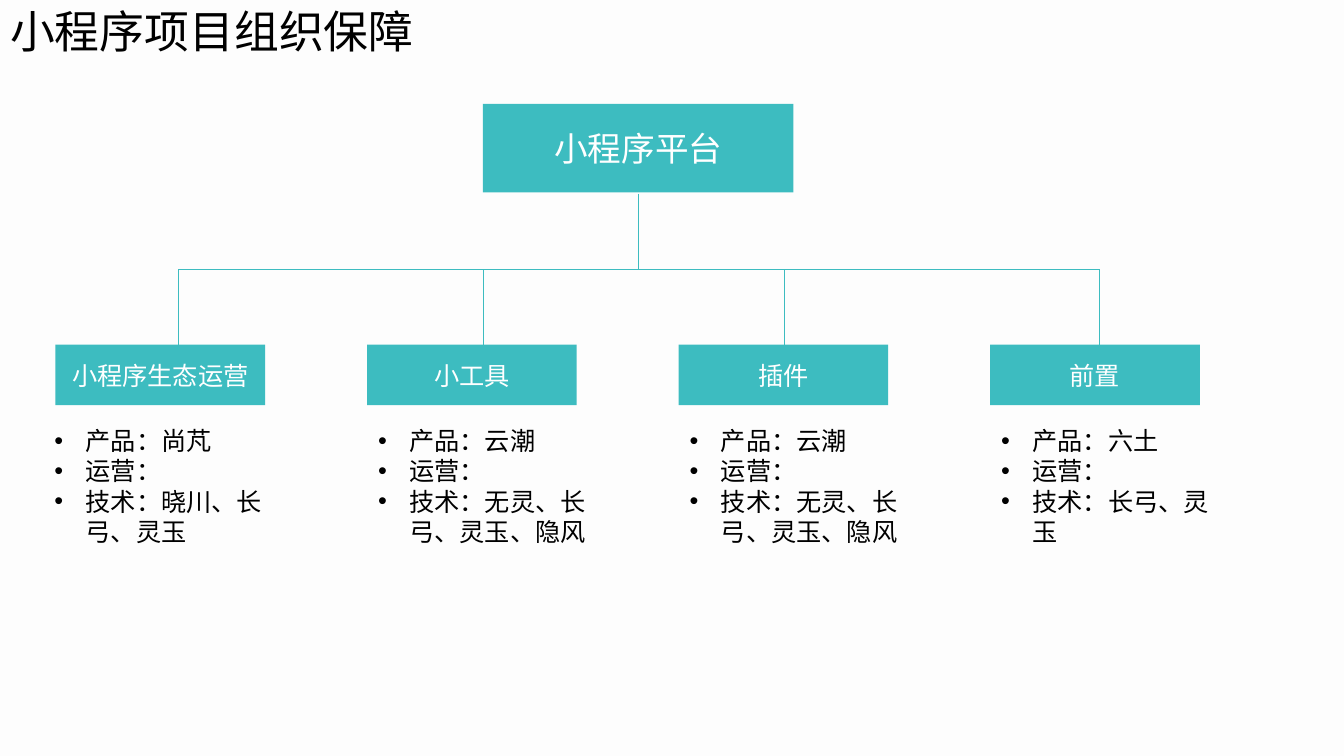
from lxml.etree import SubElement
from pptx import Presentation
from pptx.dml.color import RGBColor
from pptx.enum.shapes import MSO_CONNECTOR, MSO_SHAPE
from pptx.enum.text import MSO_ANCHOR, MSO_AUTO_SIZE, PP_ALIGN
from pptx.oxml.ns import qn
from pptx.util import Inches, Pt

FACE = "Noto Sans CJK SC"
TEAL = "3DBCC0"
TEAMS = [
    ("小程序生态运营", 0.44, ["产品：尚芃", "运营：", "技术：晓川、长弓、灵玉"]),
    ("小工具", 3.65, ["产品：云潮", "运营：", "技术：无灵、长弓、灵玉、隐风"]),
    ("插件", 6.74, ["产品：云潮", "运营：", "技术：无灵、长弓、灵玉、隐风"]),
    ("前置", 9.83, ["产品：六土", "运营：", "技术：长弓、灵玉"]),
]
DROPS = [1.77, 4.79, 7.78, 10.9]


def paint(fill, shade):
    fill.solid()
    fill.fore_color.rgb = RGBColor.from_string(shade)


def style(para, size, shade, align):
    para.alignment = align
    font = para.font
    font.size = Pt(size)
    font.bold = False
    paint(font.fill, shade)
    font.name = FACE
    props = para._p.get_or_add_pPr().get_or_add_defRPr()
    SubElement(props, qn("a:ea"), typeface=FACE)


def place(shape, left, top, width, height):
    shape.left, shape.top = Inches(left), Inches(top)
    shape.width, shape.height = Inches(width), Inches(height)


def head(slide, left, top, width, height):
    title = slide.shapes.title
    place(title, left, top, width, height)
    frame = title.text_frame
    frame.text = "小程序项目组织保障"
    frame.vertical_anchor = MSO_ANCHOR.MIDDLE
    frame.auto_size = MSO_AUTO_SIZE.NONE
    para = frame.paragraphs[0]
    para.line_spacing = 0.9
    style(para, 32, "000000", PP_ALIGN.LEFT)


def block(slide, text, size, left, top, width, height):
    box = slide.shapes.add_shape(
        MSO_SHAPE.RECTANGLE,
        Inches(left), Inches(top), Inches(width), Inches(height))
    box.shadow.inherit = False
    paint(box.fill, TEAL)
    box.line.fill.background()
    frame = box.text_frame
    frame.text = text
    frame.word_wrap = True
    frame.vertical_anchor = MSO_ANCHOR.MIDDLE
    style(frame.paragraphs[0], size, "FFFFFF", PP_ALIGN.CENTER)


def wire(slide, x1, y1, x2, y2):
    line = slide.shapes.add_connector(
        MSO_CONNECTOR.STRAIGHT,
        Inches(x1), Inches(y1), Inches(x2), Inches(y2))
    paint(line.line.fill, TEAL)
    line.line.width = Pt(0.5)
    SubElement(line._element.spPr, qn("a:effectLst"))


def tree(slide, mid, top, height):
    rail = top + height / 2
    wire(slide, mid, top, mid, rail)
    wire(slide, DROPS[0], rail, DROPS[-1], rail)
    for drop in DROPS:
        wire(slide, drop, rail, drop, top + height)


def roles(body, items, left, top, width, height):
    place(body, left, top, width, height)
    frame = body.text_frame
    frame.text = "\n".join(items)
    frame.word_wrap = True
    frame.vertical_anchor = MSO_ANCHOR.TOP
    frame.auto_size = MSO_AUTO_SIZE.NONE
    for para in frame.paragraphs:
        props = para._p.get_or_add_pPr()
        props.set("marL", str(Inches(0.31)))
        props.set("indent", str(Inches(-0.31)))
        SubElement(props, qn("a:buFont"), typeface="Arial")
        SubElement(props, qn("a:buChar"), char="•")
        para.space_before = Pt(0)
        style(para, 18, "000000", PP_ALIGN.LEFT)


def teams(slide, left, top, pitch):
    bodies = [p for p in slide.placeholders if p.placeholder_format.idx > 0]
    for i, (name, edge, items) in enumerate(TEAMS):
        block(slide, name, 18, left + i * pitch, top, 2.08, 0.6)
        roles(bodies[i], items, edge, top + 0.75, 2.43, 1.31)


def main():
    deck = Presentation()
    deck.slide_width, deck.slide_height = Inches(13.33), Inches(7.5)
    slide = deck.slides.add_slide(deck.slide_layouts.get_by_name("Comparison"))
    paint(slide.background.fill, "FDFDFD")
    head(slide, 0, 0, 12.67, 0.68)
    block(slide, "小程序平台", 24, 4.79, 1.03, 3.08, 0.88)
    tree(slide, 6.33, 1.92, 1.5)
    teams(slide, 0.55, 3.42, 3.09)
    deck.save("out.pptx")


if __name__ == "__main__":
    main()
